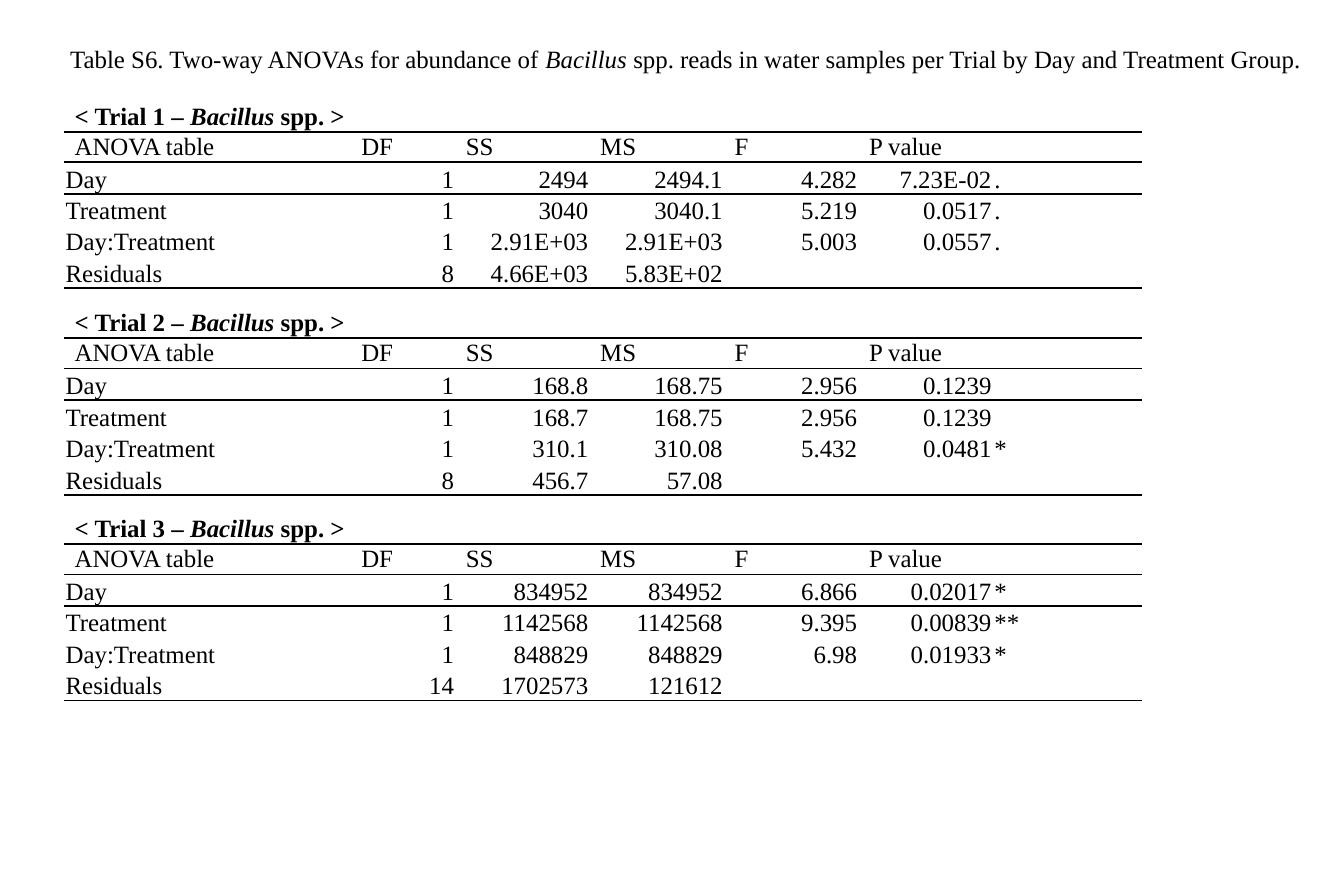
import pptx
import pptx.dml.color
import pptx.enum.text
import pptx.oxml
import pptx.oxml.ns
import pptx.util

PX = 9144  # EMU per px, 100 px to the inch
BLACK = "000000"
FONT = "Times New Roman"
PLAIN_STYLE = "{2D5ABB26-0587-4C30-8999-92F81FD0307C}"
LEFT, RIGHT = pptx.enum.text.PP_ALIGN.LEFT, pptx.enum.text.PP_ALIGN.RIGHT
ANCHOR = pptx.enum.text.MSO_ANCHOR

COLUMNS = [192, 70, 90, 90, 90, 90, 100]
ROWS = [20, 20, 21, 21, 21, 21]
TABLE_LEFT, FIRST_TOP, TABLE_STEP = 43, 68, 138
HEADER = ["ANOVA table", "DF", "SS", "MS", "F", "P value", ""]
LABELS = ["Day", "Treatment", "Day:Treatment", "Residuals"]

# Values of each trial, in the order of LABELS
TRIALS = [
    [["1", "2494", "2494.1", "4.282", "7.23E-02", "."],
     ["1", "3040", "3040.1", "5.219", "0.0517", "."],
     ["1", "2.91E+03", "2.91E+03", "5.003", "0.0557", "."],
     ["8", "4.66E+03", "5.83E+02", "", "", ""]],
    [["1", "168.8", "168.75", "2.956", "0.1239", ""],
     ["1", "168.7", "168.75", "2.956", "0.1239", ""],
     ["1", "310.1", "310.08", "5.432", "0.0481", "*"],
     ["8", "456.7", "57.08", "", "", ""]],
    [["1", "834952", "834952", "6.866", "0.02017", "*"],
     ["1", "1142568", "1142568", "9.395", "0.00839", "**"],
     ["1", "848829", "848829", "6.98", "0.01933", "*"],
     ["14", "1702573", "121612", "", "", ""]],
]


def px(n):
    return pptx.util.Emu(n * PX)


def color(value):
    return pptx.dml.color.RGBColor.from_string(value)


def set_attrs(obj, values):
    for name, value in values.items():
        setattr(obj, name, value)


def write(p, pieces, align=LEFT, bold=False):
    """Fill a paragraph with (text, italic) pieces."""
    p.alignment = align
    for text, italic in pieces:
        r = p.add_run()
        r.text = text
        set_attrs(r.font, {"name": FONT, "size": pptx.util.Pt(12),
                           "bold": bold, "italic": italic})
        r.font.color.rgb = color(BLACK)


def add_border(cell, side):
    ln = pptx.oxml.parse_xml(
        f'<a:{side} {pptx.oxml.ns.nsdecls("a")} w="12700">'
        f'<a:solidFill><a:srgbClr val="{BLACK}"/></a:solidFill></a:{side}>')
    cell._tc.get_or_add_tcPr().append(ln)


def format_cell(cell, row):
    # Rules above and below the header, and under the last row
    if row in (1, 2):
        add_border(cell, "lnT")
    if row in (0, 1, len(ROWS) - 1):
        add_border(cell, "lnB")
    cell.fill.background()
    heading = row < 2
    side, top = (7, 0) if heading else (1, 1)
    set_attrs(cell, {
        "margin_left": px(side), "margin_right": px(side),
        "margin_top": px(top), "margin_bottom": 0,
        "vertical_anchor": ANCHOR.MIDDLE if heading else ANCHOR.BOTTOM})
    # Empty cells keep the text size, so rows do not grow
    cell.text_frame.paragraphs[0]._p.get_or_add_endParaRPr().set("sz", "1200")


def add_anova_table(slide, number, values):
    top = FIRST_TOP + (number - 1) * TABLE_STEP
    frame = slide.shapes.add_table(len(ROWS), len(COLUMNS), px(TABLE_LEFT),
                                   px(top), px(sum(COLUMNS)), px(sum(ROWS)))
    table = frame.table
    set_attrs(table, {"first_row": False, "horz_banding": False})
    table._tbl.tblPr.find(pptx.oxml.ns.qn("a:tableStyleId")).text = PLAIN_STYLE
    for column, width in zip(table.columns, COLUMNS):
        column.width = px(width)
    for row, height in zip(table.rows, ROWS):
        row.height = px(height)

    # Heading across all columns but the last
    table.cell(0, 0).merge(table.cell(0, len(COLUMNS) - 2))
    write(table.cell(0, 0).text_frame.paragraphs[0],
          [(f"< Trial {number} – ", False), ("Bacillus", True),
           (" spp. >", False)], bold=True)

    # Header and body text
    body = [[label] + line for label, line in zip(LABELS, values)]
    for i, line in enumerate([HEADER] + body, 1):
        for j, text in enumerate(line):
            numeric = i > 1 and 0 < j < len(COLUMNS) - 1
            if text:
                write(table.cell(i, j).text_frame.paragraphs[0],
                      [(text, False)], RIGHT if numeric else LEFT)

    for i in range(len(ROWS)):
        for j in range(len(COLUMNS)):
            format_cell(table.cell(i, j), i)


def add_title(slide):
    sp = slide.shapes.title
    set_attrs(sp, {"left": px(37), "top": px(24),
                   "width": px(854), "height": px(30)})
    tf = sp.text_frame
    set_attrs(tf, {"word_wrap": True, "vertical_anchor": ANCHOR.MIDDLE,
                   "auto_size": pptx.enum.text.MSO_AUTO_SIZE.NONE})
    write(tf.paragraphs[0], [
        ("Table S6. Two-way ANOVAs for abundance of ", False),
        ("Bacillus ", True),
        ("spp. reads in water samples per Trial by Day and Treatment Group.",
         False)])


def main():
    prs = pptx.Presentation()
    set_attrs(prs, {"slide_width": px(900), "slide_height": px(600)})
    slide = prs.slides.add_slide(prs.slide_layouts.get_by_name("Title Only"))
    add_title(slide)
    for number, values in enumerate(TRIALS, 1):
        add_anova_table(slide, number, values)
    prs.save("out.pptx")


if __name__ == "__main__":
    main()
